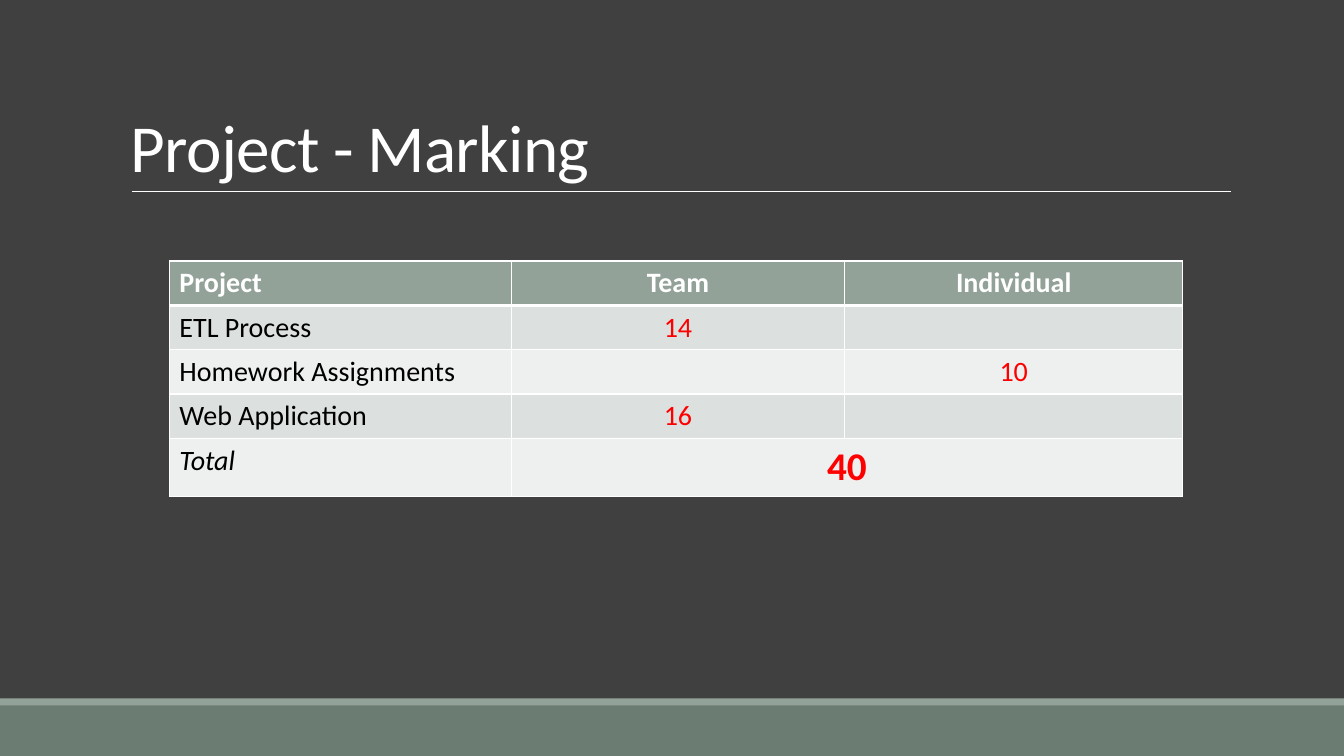
import pptx
import pptx.dml.color
import pptx.enum.shapes
import pptx.enum.text
import pptx.oxml.ns
import pptx.util
from lxml import etree

Inches, Pt = pptx.util.Inches, pptx.util.Pt
qn = pptx.oxml.ns.qn
ALIGN = pptx.enum.text.PP_ALIGN

COLORS = {
    "background": "404040",
    "footer": "6B7D72",
    "sage": "93A299",
    "odd row": "DCE0DE",
    "even row": "EEF0EF",
    "white": "FFFFFF",
    "label": "000000",
    "mark": "FF0000",
}


def color(name):
    return pptx.dml.color.RGBColor.from_string(COLORS[name])


def add_border(cell, side, points):
    border = etree.SubElement(cell._tc.get_or_add_tcPr(), qn(f"a:{side}"), w=str(Pt(points)))
    fill = etree.SubElement(border, qn("a:solidFill"))
    etree.SubElement(fill, qn("a:srgbClr"), val=COLORS["white"])


prs = pptx.Presentation()
prs.slide_width, prs.slide_height = Inches(13.33), Inches(7.5)
slide = prs.slides.add_slide(prs.slide_layouts[6])
slide.background.fill.solid()
slide.background.fill.fore_color.rgb = color("background")

# Footer bands
for top, height, name in [(7, 0.5, "footer"), (6.93, 0.07, "sage")]:
    band = slide.shapes.add_shape(
        pptx.enum.shapes.MSO_SHAPE.RECTANGLE, 0, Inches(top), prs.slide_width, Inches(height))
    band.shadow.inherit = False
    band.fill.solid()
    band.fill.fore_color.rgb = color(name)
    band.line.fill.background()

# Title and its rule
rule = slide.shapes.add_connector(
    pptx.enum.shapes.MSO_CONNECTOR.STRAIGHT, Inches(1.31), Inches(1.9), Inches(12.21), Inches(1.9))
rule.line.color.rgb = color("white")
rule.line.width = Pt(0.5)
etree.SubElement(rule._element.spPr, qn("a:effectLst"))

title = slide.shapes.add_textbox(Inches(1.2), Inches(0.31), Inches(11), Inches(1.59))
title.text_frame.word_wrap = True
title.text_frame.vertical_anchor = pptx.enum.text.MSO_ANCHOR.BOTTOM
heading = title.text_frame.paragraphs[0]
heading.text = "Project - Marking"
heading.line_spacing = 0.85
heading_run = heading.runs[0]
heading_run.font.name = "Calibri"
heading_run.font.size = Pt(48)
heading_run.font.color.rgb = color("white")
heading_run.font._element.set("spc", "-50")

# Marking table
rows = [
    ("Project", "Team", "Individual"),
    ("ETL Process", "14", ""),
    ("Homework Assignments", "", "10"),
    ("Web Application", "16", ""),
    ("Total", "40", ""),
]
total_row = len(rows) - 1
marking = slide.shapes.add_table(
    len(rows), 3, Inches(1.68), Inches(2.59), Inches(10.05), Inches(2.34)).table
for column, width in zip(marking.columns, (3.39, 3.31, 3.35)):
    column.width = Inches(width)
for r, row in enumerate(marking.rows):
    row.height = Inches(0.58 if r == total_row else 0.44)
marking.cell(total_row, 1).merge(marking.cell(total_row, 2))

for r, texts in enumerate(rows):
    for c, text in enumerate(texts):
        cell = marking.cell(r, c)
        for side in ("lnL", "lnR", "lnT", "lnB"):
            heavy = (r, side) in [(0, "lnB"), (1, "lnT")]
            add_border(cell, side, 3 if heavy else 1)
        cell.fill.solid()
        cell.fill.fore_color.rgb = color(
            "sage" if r == 0 else "odd row" if r % 2 else "even row")
        if not text:
            continue
        entry = cell.text_frame.paragraphs[0]
        entry.text = text
        entry.alignment = ALIGN.CENTER if c else ALIGN.LEFT
        font = entry.runs[0].font
        font.name = "Calibri"
        font.size = Pt(28 if r == total_row and c else 20)
        font.bold = r == 0 or (r == total_row and c > 0)
        font.italic = r == total_row and c == 0
        font.color.rgb = color("white" if r == 0 else "mark" if c else "label")

prs.save("out.pptx")
